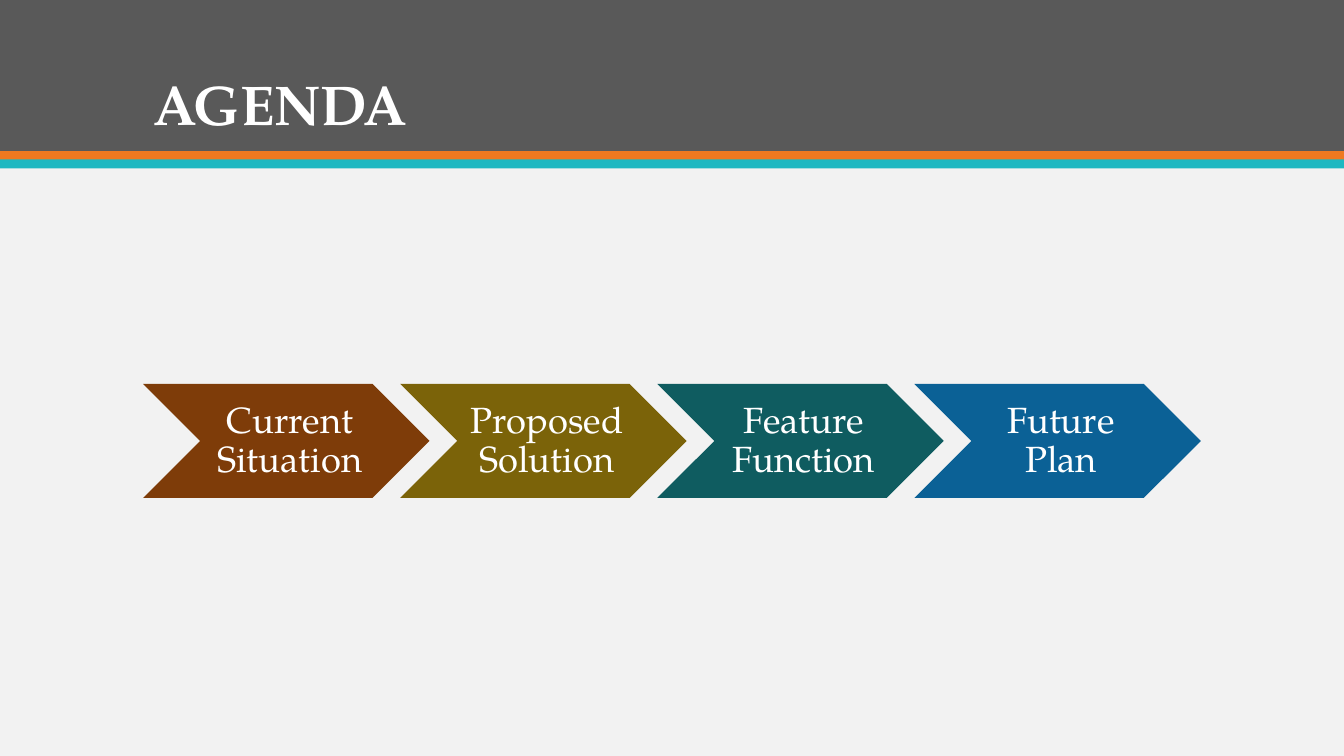
import pptx
import pptx.dml.color
import pptx.enum.shapes
import pptx.enum.text
import pptx.util

Inches = pptx.util.Inches
RGBColor = pptx.dml.color.RGBColor
SHAPE = pptx.enum.shapes.MSO_SHAPE
ANCHOR = pptx.enum.text.MSO_ANCHOR
ALIGN = pptx.enum.text.PP_ALIGN

WHITE = RGBColor(0xFF, 0xFF, 0xFF)
LIGHT_GRAY = RGBColor(0xF2, 0xF2, 0xF2)
DARK_GRAY = RGBColor(0x59, 0x59, 0x59)
ORANGE = RGBColor(0xEF, 0x79, 0x20)
TURQUOISE = RGBColor(0x1E, 0xB8, 0xC1)
BROWN = RGBColor(0x7E, 0x3C, 0x09)
OLIVE = RGBColor(0x7B, 0x63, 0x09)
TEAL = RGBColor(0x0F, 0x5C, 0x60)
BLUE = RGBColor(0x0B, 0x61, 0x96)

SLIDE_WIDTH, SLIDE_HEIGHT = 13.33, 7.5
MARGIN = 1.42
STEP_TOP, STEP_WIDTH, STEP_HEIGHT = 3.81, 2.84, 1.13
STEP_PITCH = (SLIDE_WIDTH - 2 * MARGIN - STEP_WIDTH) / 3
LABEL_WIDTH = STEP_WIDTH - STEP_HEIGHT

STEPS = [
    ("Current Situation", BROWN),
    ("Proposed Solution", OLIVE),
    ("Feature Function", TEAL),
    ("Future Plan", BLUE),
]


class AgendaSlide:
    font = "TeX Gyre Pagella"

    def __init__(self, presentation):
        self.slide = presentation.slides.add_slide(presentation.slide_layouts[6])
        self.slide.background.fill.solid()
        self.slide.background.fill.fore_color.rgb = LIGHT_GRAY

    def shape(self, kind, left, top, width, height, color):
        shape = self.slide.shapes.add_shape(
            kind, Inches(left), Inches(top), Inches(width), Inches(height))
        shape.shadow.inherit = False
        shape.fill.solid()
        shape.fill.fore_color.rgb = color
        shape.line.fill.background()

    def text(self, words, left, top, width, height, size, anchor,
             align=ALIGN.LEFT, insets=(0.1, 0.05, 0.1, 0.05), bold=False):
        """Add a wrapped text box; insets run left, top, right, bottom."""
        box = self.slide.shapes.add_textbox(
            Inches(left), Inches(top), Inches(width), Inches(height))
        frame = box.text_frame
        frame.word_wrap = True
        frame.vertical_anchor = anchor
        (frame.margin_left, frame.margin_top,
         frame.margin_right, frame.margin_bottom) = map(Inches, insets)
        paragraph = frame.paragraphs[0]
        paragraph.alignment = align
        paragraph.line_spacing = 0.9
        run = paragraph.add_run()
        run.text = words
        run.font.name = self.font
        run.font.size = pptx.util.Pt(size)
        run.font.bold = bold
        run.font.color.rgb = WHITE

    def step(self, label, left, color):
        """Add a chevron with its label between notch and point."""
        self.shape(SHAPE.CHEVRON, left, STEP_TOP, STEP_WIDTH, STEP_HEIGHT, color)
        self.text(label, left + STEP_HEIGHT / 2, STEP_TOP, LABEL_WIDTH, STEP_HEIGHT,
                  26, ANCHOR.MIDDLE, ALIGN.CENTER, (0.11, 0.04, 0.04, 0.04))


def main():
    presentation = pptx.Presentation()
    presentation.slide_width = Inches(SLIDE_WIDTH)
    presentation.slide_height = Inches(SLIDE_HEIGHT)
    agenda = AgendaSlide(presentation)

    for top, height, color in [(0, 1.5, DARK_GRAY), (1.5, 0.09, ORANGE),
                               (1.58, 0.09, TURQUOISE)]:
        agenda.shape(SHAPE.RECTANGLE, 0, top, SLIDE_WIDTH, height, color)
    agenda.text("AGENDA", MARGIN, 0.28, 10.5, 1.13, 40, ANCHOR.BOTTOM, bold=True)

    for index, (label, color) in enumerate(STEPS):
        agenda.step(label, MARGIN + index * STEP_PITCH, color)

    presentation.save("out.pptx")


if __name__ == "__main__":
    main()
